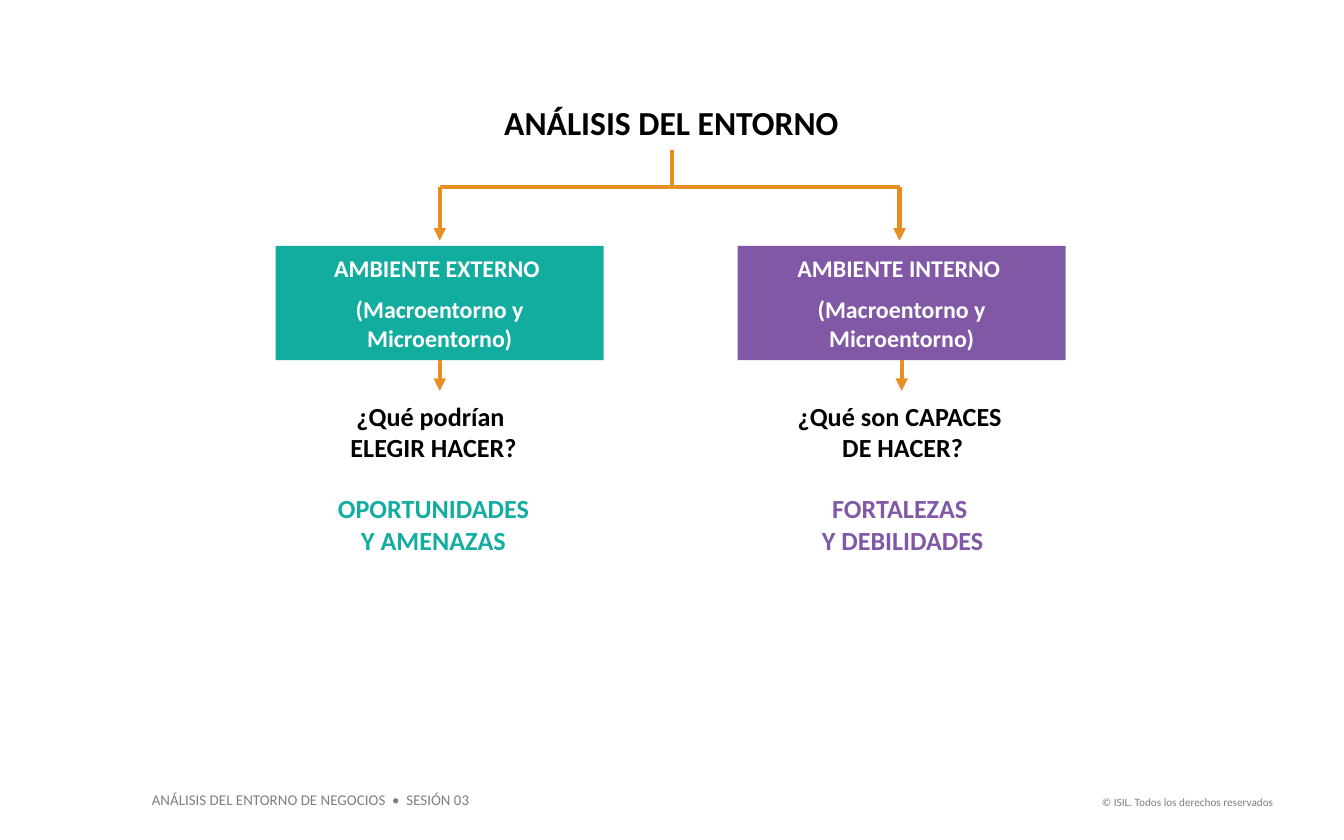
"""Build the slide that splits the business environment into external and internal."""
from dataclasses import dataclass

from lxml.etree import SubElement
from pptx import Presentation
from pptx.dml.color import RGBColor
from pptx.enum.shapes import MSO_CONNECTOR as Connector, MSO_SHAPE as Preset
from pptx.enum.text import MSO_ANCHOR as Anchor, PP_ALIGN as Align
from pptx.oxml.ns import qn
from pptx.shapes.autoshape import Shape
from pptx.shapes.connector import Connector as Line
from pptx.slide import Slide
from pptx.text.text import TextFrame
from pptx.util import Cm, Pt

COLORS = {
    "external": "13ADA0",
    "internal": "8058A6",
    "arrow": "E88F23",
    "ink": "000000",
    "paper": "FFFFFF",
    "footer": "7F7F7F",
}
FONT = "Calibri"
BOX_TOP, BOX_WIDTH, BOX_HEIGHT = 4.65, 6.2, 2.16
FORK_Y, BRANCH_END, ARROW_END = 3.53, 4.55, 7.39
TRUNK_X, TRUNK_TOP = 12.7, 2.84
OUTCOME_TOP, OUTCOME_WIDTH, OUTCOME_HEIGHT = 7.44, 7.19, 3.84


@dataclass(frozen=True)
class Paragraph:
    text: str
    size: float
    color: str
    bold: bool = True
    before: float = 0


@dataclass(frozen=True)
class Environment:
    heading: str
    color: str
    box_left: float
    branch_x: float
    outcome_left: float
    question: tuple[str, str]
    findings: tuple[str, str]


@dataclass(frozen=True)
class FooterNote:
    text: str
    size: float
    area: tuple[float, float, float, float]
    align: Align


ENVIRONMENTS = (
    Environment("AMBIENTE EXTERNO ", "external", 5.21, 8.31, 4.6,
                ("¿Qué podrían ", "ELEGIR HACER?"), ("OPORTUNIDADES", "Y AMENAZAS")),
    Environment("AMBIENTE INTERNO ", "internal", 13.94, 17, 13.41,
                ("¿Qué son CAPACES", " DE HACER?"), ("FORTALEZAS", " Y DEBILIDADES")),
)
FOOTER_NOTES = (
    FooterNote("ANÁLISIS DEL ENTORNO DE NEGOCIOS  •  SESIÓN 03", 8,
               (2.62, 14.83, 6.63, 0.61), Align.LEFT),
    FooterNote("© ISIL. Todos los derechos reservados", 6,
               (20.45, 14.91, 3.86, 0.51), Align.RIGHT),
)


def rgb(name: str) -> RGBColor:
    """Return the named colour."""
    return RGBColor.from_string(COLORS[name])


def write(frame: TextFrame, paragraphs: list[Paragraph], align: Align = Align.CENTER,
          anchor: Anchor = Anchor.TOP) -> None:
    """Fill a text frame with formatted paragraphs."""
    frame.word_wrap = True
    frame.vertical_anchor = anchor
    for index, content in enumerate(paragraphs):
        paragraph = frame.add_paragraph() if index else frame.paragraphs[0]
        paragraph.alignment = align
        if content.before:
            paragraph.space_before = Pt(content.before)
        run = paragraph.add_run()
        run.text = content.text
        run.font.name = FONT
        run.font.size = Pt(content.size)
        run.font.bold = content.bold
        run.font.color.rgb = rgb(content.color)


def add_line(slide: Slide, start: tuple[float, float], end: tuple[float, float],
             arrow: bool = False) -> Line:
    """Draw a straight orange line, with an arrowhead if asked."""
    line = slide.shapes.add_connector(Connector.STRAIGHT, *map(Cm, start + end))
    line.line.color.rgb = rgb("arrow")
    line.line.width = Pt(2.25)
    if arrow:
        SubElement(line.line._get_or_add_ln(), qn("a:tailEnd"), type="triangle")
    SubElement(line._element.spPr, qn("a:effectLst"))
    return line


def add_box(slide: Slide, environment: Environment) -> Shape:
    """Draw the coloured box that names an environment."""
    box = slide.shapes.add_shape(Preset.RECTANGLE, Cm(environment.box_left), Cm(BOX_TOP),
                                 Cm(BOX_WIDTH), Cm(BOX_HEIGHT))
    box.shadow.inherit = False
    box.fill.solid()
    box.fill.fore_color.rgb = rgb(environment.color)
    box.line.fill.background()
    write(box.text_frame, [
        Paragraph(environment.heading, 12.8, "paper"),
        Paragraph("(Macroentorno y Microentorno)", 12.8, "paper", before=6.4),
    ], anchor=Anchor.MIDDLE)
    return box


def add_environment(slide: Slide, environment: Environment) -> None:
    """Draw one branch with its box, question and findings."""
    add_line(slide, (environment.branch_x, FORK_Y), (environment.branch_x, BRANCH_END), True)
    box = add_box(slide, environment)
    center = environment.box_left + BOX_WIDTH / 2
    arrow = add_line(slide, (center, BOX_TOP + BOX_HEIGHT), (center, ARROW_END), True)
    arrow.begin_connect(box, 2)
    outcome = slide.shapes.add_textbox(Cm(environment.outcome_left), Cm(OUTCOME_TOP),
                                       Cm(OUTCOME_WIDTH), Cm(OUTCOME_HEIGHT))
    first, second = environment.findings
    write(outcome.text_frame, [
        *(Paragraph(text, 14, "ink") for text in environment.question),
        Paragraph(first, 14, environment.color, before=16),
        Paragraph(second, 14, environment.color),
    ])


def main() -> None:
    """Build and save the slide."""
    deck = Presentation()
    deck.slide_width, deck.slide_height = Cm(25.4), Cm(15.88)
    slide = deck.slides.add_slide(deck.slide_layouts[5])

    title = slide.shapes.title
    title.left, title.top, title.width, title.height = map(Cm, (9.25, 1.8, 6.88, 1.02))
    write(title.text_frame, [Paragraph("ANÁLISIS DEL ENTORNO", 18, "ink")])

    for note in FOOTER_NOTES:
        footer = slide.shapes.add_textbox(*map(Cm, note.area))
        write(footer.text_frame, [Paragraph(note.text, note.size, "footer", bold=False)],
              note.align)

    left, right = (environment.branch_x for environment in ENVIRONMENTS)
    add_line(slide, (left, FORK_Y), (right, FORK_Y))
    add_line(slide, (TRUNK_X, TRUNK_TOP), (TRUNK_X, FORK_Y))
    for environment in ENVIRONMENTS:
        add_environment(slide, environment)

    deck.save("out.pptx")


if __name__ == "__main__":
    main()
